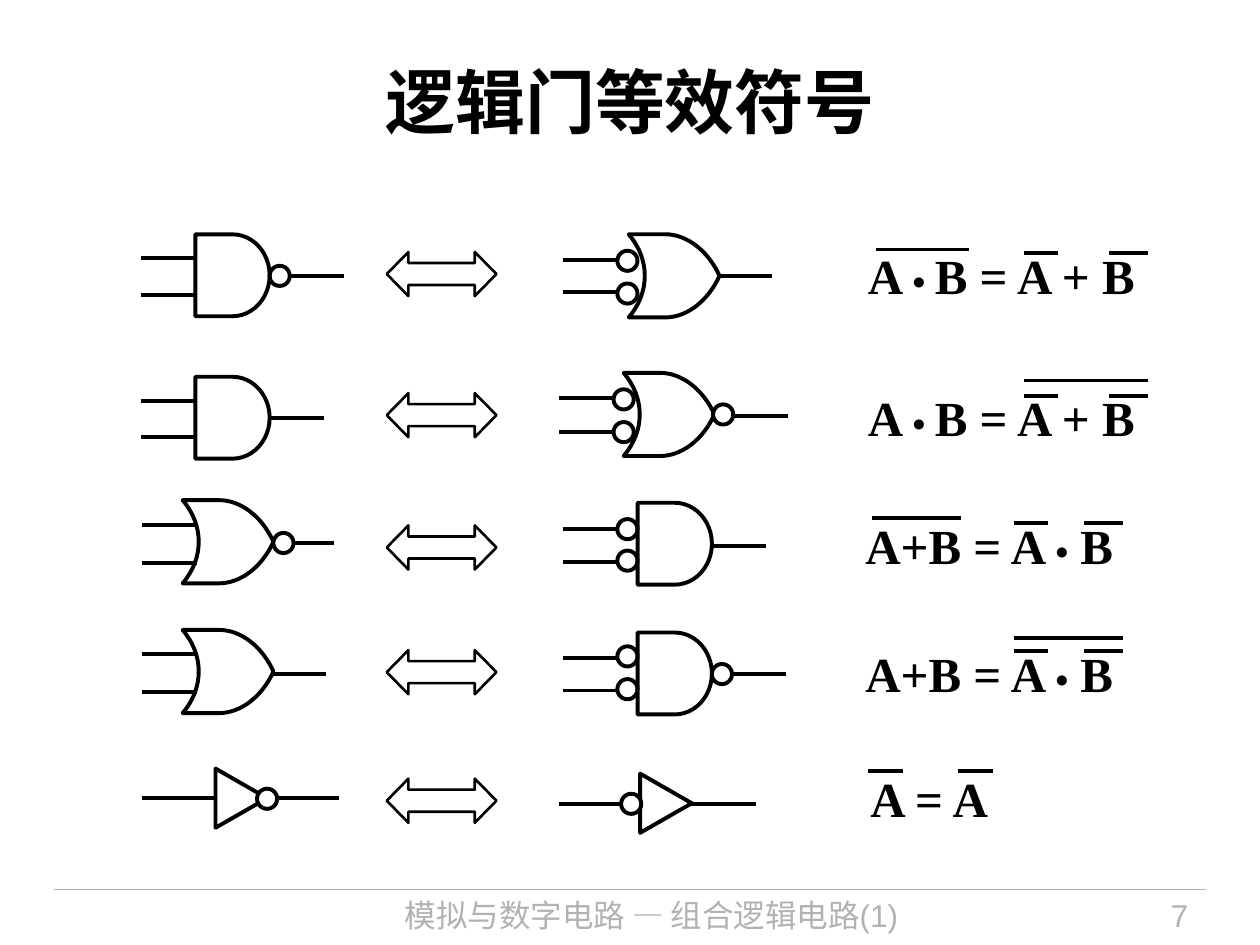
from lxml import etree
from pptx import Presentation
from pptx.dml.color import RGBColor
from pptx.enum.shapes import MSO_CONNECTOR, MSO_SHAPE
from pptx.enum.text import MSO_ANCHOR, MSO_AUTO_SIZE, PP_ALIGN
from pptx.oxml.ns import qn
from pptx.util import Inches, Pt

STRAIGHT = MSO_CONNECTOR.STRAIGHT
DELAY = MSO_SHAPE.FLOWCHART_DELAY
OVAL = MSO_SHAPE.OVAL
TRIANGLE = MSO_SHAPE.ISOSCELES_TRIANGLE
DOUBLE_ARROW = MSO_SHAPE.LEFT_RIGHT_ARROW
LEFT, CENTER, RIGHT = PP_ALIGN.LEFT, PP_ALIGN.CENTER, PP_ALIGN.RIGHT

COLORS = {"ink": "000000", "paper": "FFFFFF", "footer": "B2B2B2"}
STUB = 0.43
BUBBLE = 0.16
GATE_HEIGHT = 0.66

prs = Presentation()
prs.slide_width, prs.slide_height = Inches(10), Inches(7.5)
slide = prs.slides.add_slide(prs.slide_layouts[5])
shapes = slide.shapes


def write(frame, text, size=28, font="Times New Roman", color="ink", bold=True, align=LEFT):
    paragraph = frame.paragraphs[0]
    paragraph.alignment = align
    for part in text.split("|"):
        run = paragraph.add_run()
        run.text = part
        is_dot = "•" in part
        run.font.size = Pt(20 if is_dot else size)
        run.font.name = "Arial" if is_dot else font
        run.font.bold = bold
        run.font.color.rgb = RGBColor.from_string(COLORS[color])


def draw_line(x1, x2, y, color="ink", width=2.25):
    line = shapes.add_connector(STRAIGHT, Inches(x1), Inches(y), Inches(x2), Inches(y))
    line.line.color.rgb = RGBColor.from_string(COLORS[color])
    line.line.width = Pt(width)
    etree.SubElement(line._element.spPr, qn("a:effectLst"))


title = shapes.title
title.left, title.top, title.width, title.height = Inches(0.5), Inches(0.17), Inches(9), Inches(1.25)
title.text_frame.vertical_anchor = MSO_ANCHOR.MIDDLE
write(title.text_frame, "逻辑门等效符号", size=40, font="Arial", align=CENTER)

draw_line(0.43, 9.57, 7.06, color="footer", width=0.75)
for x, width, text, align in [
    (2.49, 5.36, "模拟与数字电路 — 组合逻辑电路(1)", CENTER),
    (8.2, 1.33, "7", RIGHT),
]:
    footer = shapes.add_textbox(Inches(x), Inches(7.06), Inches(width), Inches(0.44))
    footer.text_frame.word_wrap = True
    write(footer.text_frame, text, size=18, font="Arial", color="footer", bold=False, align=align)

formulas = [
    (6.79, 1.9, 2.38, "A |• |B = A + B"),
    (6.79, 3.03, 2.38, "A |• |B = A + B"),
    (6.77, 4.04, 2.2, "A+B = A |•| B"),
    (6.77, 5.06, 2.2, "A+B = A |•| B"),
    (6.81, 6.05, 1.17, "A = A"),
]
for x, y, width, text in formulas:
    formula = shapes.add_textbox(Inches(x), Inches(y), Inches(width), Inches(0.57))
    formula.text_frame.word_wrap = False
    formula.text_frame.auto_size = MSO_AUTO_SIZE.SHAPE_TO_FIT_TEXT
    write(formula.text_frame, text)

overbars = [
    (6.95, 7.69, 1.98), (8.13, 8.4, 2.01), (8.8, 9.11, 2.01),
    (8.13, 9.11, 3.02), (8.13, 8.4, 3.14), (8.8, 9.11, 3.14),
    (6.92, 7.63, 4.11), (8.05, 8.32, 4.15), (8.6, 8.91, 4.15),
    (8.05, 8.91, 5.06), (8.05, 8.32, 5.17), (8.6, 8.91, 5.17),
    (6.89, 7.17, 6.12), (7.6, 7.88, 6.12),
]
inverter_wires = [(1.13, 2.69, 6.33), (4.44, 6, 6.38)]
gate_wires = [
    (1.12, 2.05), (1.12, 2.34), (2.3, 2.19), (4.47, 2.06), (4.47, 2.32), (5.7, 2.19),
    (1.12, 3.18), (1.12, 3.47), (2.14, 3.32), (4.44, 3.16), (4.44, 3.43), (5.82, 3.3),
    (1.13, 4.17), (1.13, 4.47), (2.22, 4.31), (4.47, 4.2), (4.47, 4.46), (5.65, 4.33),
    (1.13, 5.19), (1.13, 5.49), (2.16, 5.35), (4.47, 5.22), (4.47, 5.48), (5.81, 5.35),
]
for x1, x2, y in overbars + inverter_wires + [(x, x + STUB, y) for x, y in gate_wires]:
    draw_line(x1, x2, y)

and_gates = [(1.55, 1.86), (1.55, 2.99), (5.06, 3.99), (5.06, 5.02)]
inverters = [(1.68, 6.13), (5.05, 6.17)]
open_bubbles = [
    (2.14, 2.11), (4.9, 1.99), (4.9, 2.25), (4.87, 3.09), (4.87, 3.35),
    (4.9, 4.12), (4.9, 4.37), (4.9, 5.13), (4.9, 5.39), (5.65, 5.27),
]
solid_bubbles = [(5.66, 3.21), (2.17, 4.23), (2.04, 6.26), (4.93, 6.3)]
arrow_tops = [2, 3.12, 4.17, 5.16, 6.18]

or_gates = [(4.99, 1.86), (4.95, 2.96), (1.45, 3.97), (1.45, 5)]
front_curve = [(0.29, 0), (0.46, 0), (0.63, 0.13), (0.72, 0.33)]
back_curve = [(0, 0.66), (0.17, 0.46), (0.17, 0.2), (0, 0)]
steps = [i / 16 for i in range(17)]
front, back = [
    [
        tuple((1 - t) ** 3 * a + 3 * t * (1 - t) ** 2 * b + 3 * t * t * (1 - t) * c + t ** 3 * d
              for a, b, c, d in zip(*curve))
        for t in steps
    ]
    for curve in (front_curve, back_curve)
]
or_outline = front + [(x, GATE_HEIGHT - y) for x, y in reversed(front)] + back

symbols = []
for left, top in or_gates:
    points = [(Inches(left + x), Inches(top + y)) for x, y in or_outline]
    outline = shapes.build_freeform(*points[0])
    outline.add_line_segments(points[1:], close=True)
    symbols.append((outline.convert_to_shape(), 2.25, False))

for preset, places, width, height, weight, solid in [
    (DELAY, and_gates, 0.59, 0.65, 2.25, False),
    (TRIANGLE, inverters, 0.47, 0.41, 2.25, True),
    (OVAL, open_bubbles, BUBBLE, BUBBLE, 2.25, False),
    (OVAL, solid_bubbles, BUBBLE, BUBBLE, 2.25, True),
    (DOUBLE_ARROW, [(3.07, top) for top in arrow_tops], 0.87, 0.35, 1.5, False),
]:
    for x, y in places:
        symbol = shapes.add_shape(preset, Inches(x), Inches(y), Inches(width), Inches(height))
        if preset == TRIANGLE:
            symbol.rotation = 90
        if preset == DOUBLE_ARROW:
            symbol.adjustments[0], symbol.adjustments[1] = 0.5, 0.49
        symbols.append((symbol, weight, solid))

for symbol, weight, solid in symbols:
    symbol.shadow.inherit = False
    symbol.line.color.rgb = RGBColor.from_string(COLORS["ink"])
    symbol.line.width = Pt(weight)
    if solid:
        symbol.fill.solid()
        symbol.fill.fore_color.rgb = RGBColor.from_string(COLORS["paper"])
    else:
        symbol.fill.background()

prs.save("out.pptx")
